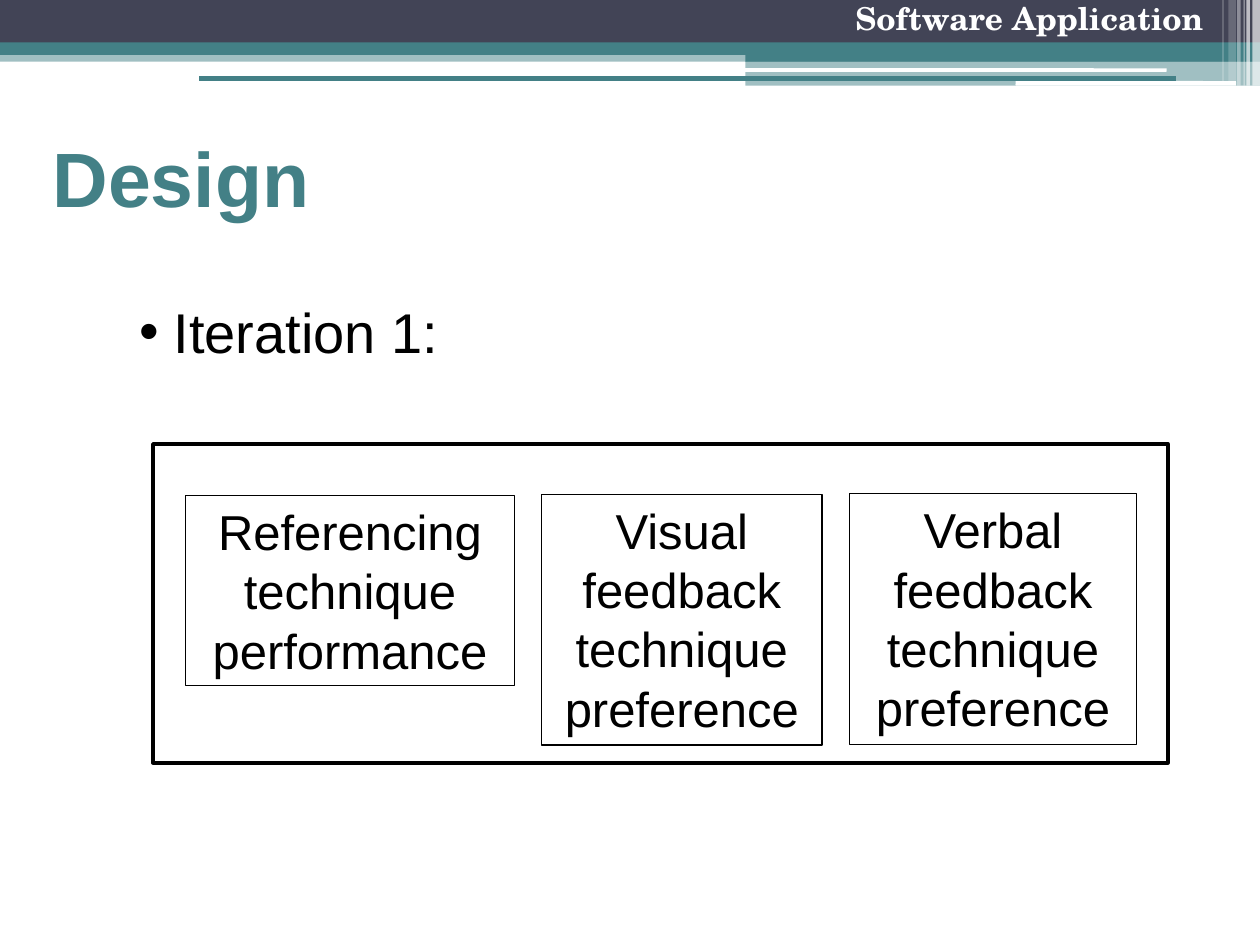
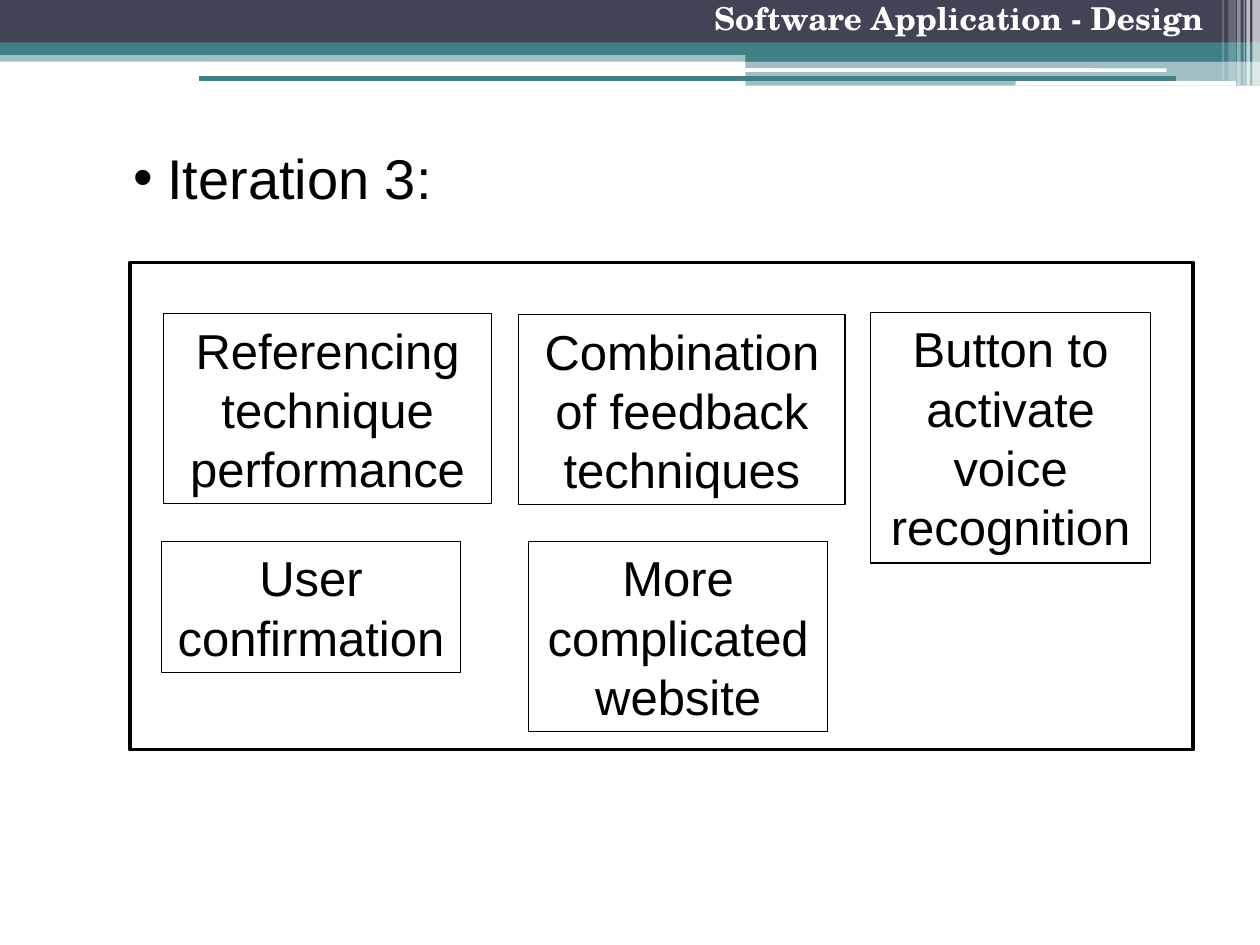
"""Build two slides on the design iterations of a software application."""
import pptx
import pptx.dml.color
import pptx.enum.shapes
import pptx.enum.text
import pptx.oxml
import pptx.oxml.ns
import pptx.util
from lxml import etree

Pt = pptx.util.Pt
qn = pptx.oxml.ns.qn
KIND = pptx.enum.shapes.MSO_SHAPE
ALIGN = pptx.enum.text.PP_ALIGN
ANCHOR = pptx.enum.text.MSO_ANCHOR
FIT = pptx.enum.text.MSO_AUTO_SIZE

HUES = {"teal": "438086", "slate": "424456", "white": "FFFFFF", "black": "000000"}

BANDS = [
    (0, 28.8, 720, 6.5, "teal", 50),
    (0, 0, 720, 24.5, "slate", 100),
    (0, 24.2, 720, 7.2, "teal", 100),
    (426, 28.1, 294, 7.2, "teal", 100),
    (426, 35, 294, 14, "teal", 50),
]
PILLS = [(425.5, 39, 241.2, 2), (580.3, 46.3, 126, 2.7)]
STRIPES = [
    (715.7, 4.3, 49, 65),
    (712.2, 2, 49, 65),
    (710.6, 0.72, 49, 60),
    (707, 2, 49, 40),
    (702, 4.3, 46.3, 20),
    (698.5, 0.72, 46.3, 30),
]

HEAD = {"name": "TeX Gyre Schola", "size": Pt(18), "bold": True}
TITLE = {"name": "Arial", "size": Pt(44), "bold": True}
POINT = {"name": "Arial", "size": Pt(32)}
LABEL = {"name": "Arial", "size": Pt(28)}


def hue(name):
    """Return the named colour."""
    return pptx.dml.color.RGBColor.from_string(HUES[name])


def apply(thing, values):
    """Set each attribute in values on thing."""
    for key, value in values.items():
        setattr(thing, key, value)


def write(frame, lines, font, ink, para):
    """Fill a text frame with one formatted paragraph per line."""
    frame.word_wrap = True
    for row, line in enumerate(lines):
        part = frame.add_paragraph() if row else frame.paragraphs[0]
        run = part.add_run()
        run.text = line
        apply(run.font, font)
        run.font.color.rgb = hue(ink)
        apply(part, para)


def text(slide, area, line, font, ink, para):
    """Add a one-line text box and return its frame."""
    frame = slide.shapes.add_textbox(*map(Pt, area)).text_frame
    write(frame, [line], font, ink, para)
    return frame


def block(slide, area, tint, alpha=100, kind=KIND.RECTANGLE):
    """Add a filled shape without outline."""
    shape = slide.shapes.add_shape(kind, *map(Pt, area))
    shape.shadow.inherit = False
    shape.line.fill.background()
    shape.fill.solid()
    shape.fill.fore_color.rgb = hue(tint)
    if alpha < 100:
        node = shape.element.spPr.find(".//" + qn("a:srgbClr"))
        etree.SubElement(node, qn("a:alpha"), val=str(alpha * 1000))


def frame(slide, area, width):
    """Add a black outline and return its shape."""
    shape = slide.shapes.add_shape(KIND.RECTANGLE, *map(Pt, area))
    shape.shadow.inherit = False
    shape.fill.background()
    shape.line.color.rgb = hue("black")
    shape.line.width = Pt(width)
    return shape


def card(slide, area, *lines):
    """Add a thin box that grows with its centred label."""
    shape = frame(slide, area, 0.75)
    apply(shape.text_frame, {"vertical_anchor": ANCHOR.TOP, "auto_size": FIT.SHAPE_TO_FIT_TEXT})
    para = {"alignment": ALIGN.CENTER, "line_spacing": Pt(33.8)}
    write(shape.text_frame, lines, LABEL, "black", para)


def rule(slide):
    """Add the teal line below the bands."""
    line = slide.shapes.add_connector(
        pptx.enum.shapes.MSO_CONNECTOR.STRAIGHT, Pt(113.8), Pt(44.8), Pt(671.8), Pt(44.8)
    )
    line.line.color.rgb = hue("teal")
    line.line.width = Pt(3)
    etree.SubElement(line.element.spPr, qn("a:effectLst"))


def bullet(slide, area, line):
    """Add an indented bullet point."""
    para = {"space_before": Pt(3), "level": 1}
    props = text(slide, area, line, POINT, "black", para).paragraphs[0]._p.get_or_add_pPr()
    props.set("marL", str(Pt(51.8)))
    props.set("indent", str(Pt(-19.4)))
    etree.SubElement(props, qn("a:buFont"), typeface="Arial")
    etree.SubElement(props, qn("a:buChar"), char="•")


def base(deck, head):
    """Add a slide with the shared bands and heading."""
    slide = deck.slides.add_slide(deck.slide_layouts[6])
    for *area, tint, alpha in BANDS:
        block(slide, area, tint, alpha)
    for area in PILLS:
        block(slide, area, "white", kind=KIND.ROUNDED_RECTANGLE)
    for left, width, height, alpha in STRIPES:
        block(slide, (left, 0, width, height), "white", alpha)
    para = {"alignment": ALIGN.RIGHT, "line_spacing": 0.8, "space_before": Pt(3.6)}
    text(slide, (275, 0, 419.8, 36), head, HEAD, "white", para)
    rule(slide)
    return slide


def first(deck):
    """Add the slide on iteration 1."""
    slide = base(deck, "Software Application")
    bullet(slide, (40.3, 166.3, 651.6, 53.3), "Iteration 1:")
    title = text(slide, (23, 58.3, 492.5, 85), "Design", TITLE, "teal", {})
    title.vertical_anchor = ANCHOR.MIDDLE
    card(slide, (106, 283, 188, 108.7), "Referencing technique performance")
    card(slide, (485.3, 282, 164.2, 143.3), "Verbal feedback", "technique", "preference")
    card(slide, (309.4, 282.4, 160.3, 143.3), "Visual feedback technique", "preference")
    frame(slide, (87.4, 253.7, 580, 182.2), 2)


def second(deck):
    """Add the slide on iteration 3."""
    slide = base(deck, "Software Application - Design")
    bullet(slide, (36.7, 78.5, 658.8, 58.3), "Iteration 3:")
    card(slide, (93.4, 179.2, 187.6, 108.7), "Referencing technique performance")
    card(slide, (92.2, 309.4, 171, 74.9), "User confirmation")
    card(slide, (497.4, 178.5, 160.2, 143.3), "Button to activate voice recognition")
    frame(slide, (74.2, 150, 607.6, 278.4), 2)
    card(slide, (296.4, 179.8, 186.5, 108.7), "Combination of feedback techniques")
    card(slide, (302, 309.4, 171, 108.7), "More complicated website")


def main():
    """Build and save the deck."""
    deck = pptx.Presentation()
    apply(deck, {"slide_width": Pt(720), "slide_height": Pt(540)})
    first(deck)
    second(deck)
    deck.save("out.pptx")


if __name__ == "__main__":
    main()
